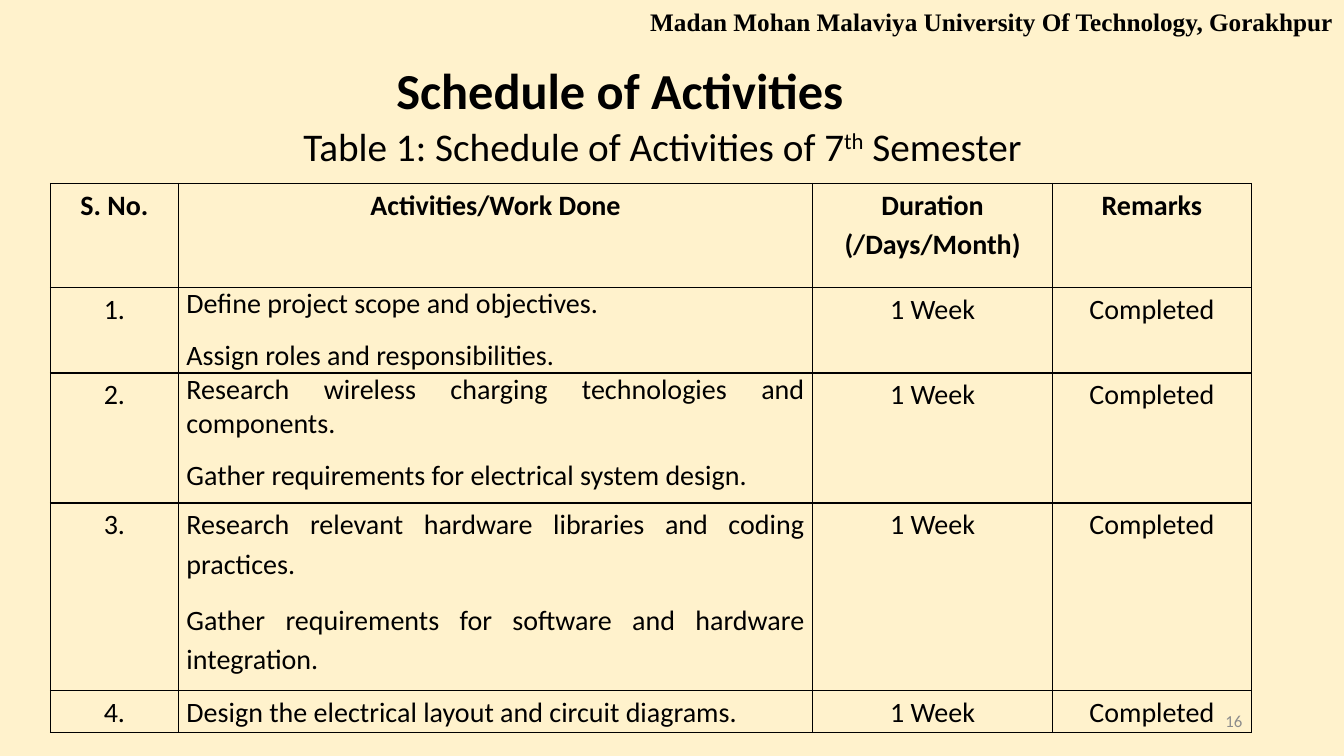
from lxml.etree import SubElement
from pptx import Presentation
from pptx.dml.color import RGBColor
from pptx.enum.text import MSO_ANCHOR, MSO_AUTO_SIZE, PP_ALIGN
from pptx.oxml.ns import qn
from pptx.util import Inches, Pt

BACKGROUND = RGBColor(0xFF, 0xF2, 0xCC)
INK = RGBColor(0, 0, 0)
GREY = RGBColor(0x8C, 0x8C, 0x8C)

COLUMN_WIDTHS = (1.27, 6.29, 2.38, 1.97)
ROW_HEIGHTS = (1.03, 0.85, 1.29, 1.86, 0.42)
HEADINGS = ("S. No.", "Activities/Work Done", "Duration (/Days/Month)", "Remarks")
ACTIVITIES = (
    (("Define project scope and objectives.",
      "Assign roles and responsibilities."), 1),
    (("Research wireless charging technologies and components.",
      "Gather requirements for electrical system design."), 1),
    (("Research relevant hardware libraries and coding practices.",
      "Gather requirements for software and hardware integration."), 1.15),
    (("Design the electrical layout and circuit diagrams.",), 1.15),
)


def add_span(para, text, size=20, bold=False, color=INK, font="Calibri", baseline=None):
    span = para.add_run()
    span.text = text
    span.font.size = Pt(size)
    span.font.bold = bold
    span.font.name = font
    span.font.color.rgb = color
    if baseline:
        span.font._element.set("baseline", str(baseline))


def add_text_box(page, box, spans, align=PP_ALIGN.LEFT, anchor=MSO_ANCHOR.TOP, wrap=True):
    frame = page.shapes.add_textbox(*map(Inches, box)).text_frame
    frame.word_wrap = wrap
    frame.vertical_anchor = anchor
    para = frame.paragraphs[0]
    para.alignment = align
    for text, style in spans:
        add_span(para, text, **style)


def add_title(page, box, text):
    title = page.shapes.title
    title.left, title.top, title.width, title.height = map(Inches, box)
    frame = title.text_frame
    frame.auto_size = MSO_AUTO_SIZE.NONE
    frame.vertical_anchor = MSO_ANCHOR.TOP
    para = frame.paragraphs[0]
    para.alignment = PP_ALIGN.CENTER
    add_span(para, text, size=36, bold=True)


def add_borders(cell):
    properties = cell._tc.get_or_add_tcPr()
    for side in ("a:lnL", "a:lnR", "a:lnT", "a:lnB"):
        line = SubElement(properties, qn(side), w=str(Pt(1)))
        fill = SubElement(line, qn("a:solidFill"))
        SubElement(fill, qn("a:srgbClr"), val=str(INK))


def fill_cell(cell, texts, align=PP_ALIGN.CENTER, spacing=1.15, bold=False):
    add_borders(cell)
    cell.fill.background()
    cell.margin_left = cell.margin_right = Inches(0.08)
    cell.margin_top = cell.margin_bottom = 0
    frame = cell.text_frame
    for index, text in enumerate(texts):
        para = frame.add_paragraph() if index else frame.paragraphs[0]
        para.alignment = align
        para.line_spacing = spacing
        para.space_before = Pt(6 if index else 0)
        para.space_after = Pt(6)
        add_span(para, text, bold=bold)


def add_schedule(page, left, top):
    box = (left, top, sum(COLUMN_WIDTHS), sum(ROW_HEIGHTS))
    table = page.shapes.add_table(
        len(ROW_HEIGHTS), len(COLUMN_WIDTHS), *map(Inches, box)).table
    table.horz_banding = False
    table.first_row = False
    for column, width in zip(table.columns, COLUMN_WIDTHS):
        column.width = Inches(width)
    for row, height in zip(table.rows, ROW_HEIGHTS):
        row.height = Inches(height)
    for column, heading in enumerate(HEADINGS):
        fill_cell(table.cell(0, column), [heading], bold=True)
    for number, (tasks, spacing) in enumerate(ACTIVITIES, 1):
        fill_cell(table.cell(number, 0), [f"{number}."])
        fill_cell(table.cell(number, 1), tasks, align=PP_ALIGN.JUSTIFY, spacing=spacing)
        fill_cell(table.cell(number, 2), ["1 Week"])
        fill_cell(table.cell(number, 3), ["Completed"])


def build_schedule_page(deck):
    page = deck.slides.add_slide(deck.slide_layouts[5])
    page.background.fill.solid()
    page.background.fill.fore_color.rgb = BACKGROUND
    add_schedule(page, 0.5, 1.82)
    add_title(page, (1.91, 0.54, 8.48, 0.71), "Schedule of Activities")
    add_text_box(page, (9.42, 6.95, 3, 0.4), [("16", {"size": 12, "color": GREY})],
                 align=PP_ALIGN.RIGHT, anchor=MSO_ANCHOR.MIDDLE)
    add_text_box(page, (2.91, 1.16, 9.39, 0.62), [
        ("Table 1: Schedule of Activities of 7", {"size": 28}),
        ("th", {"size": 28, "baseline": 30000}),
        (" Semester", {"size": 28}),
    ])
    add_text_box(page, (6.35, 0.01, 6.98, 0.4), [
        ("Madan Mohan Malaviya University Of Technology, Gorakhpur",
         {"size": 18, "bold": True, "font": "Times New Roman"}),
    ], wrap=False)


def main():
    deck = Presentation()
    deck.slide_width = Inches(13.33)
    deck.slide_height = Inches(7.5)
    build_schedule_page(deck)
    deck.save("out.pptx")


if __name__ == "__main__":
    main()
